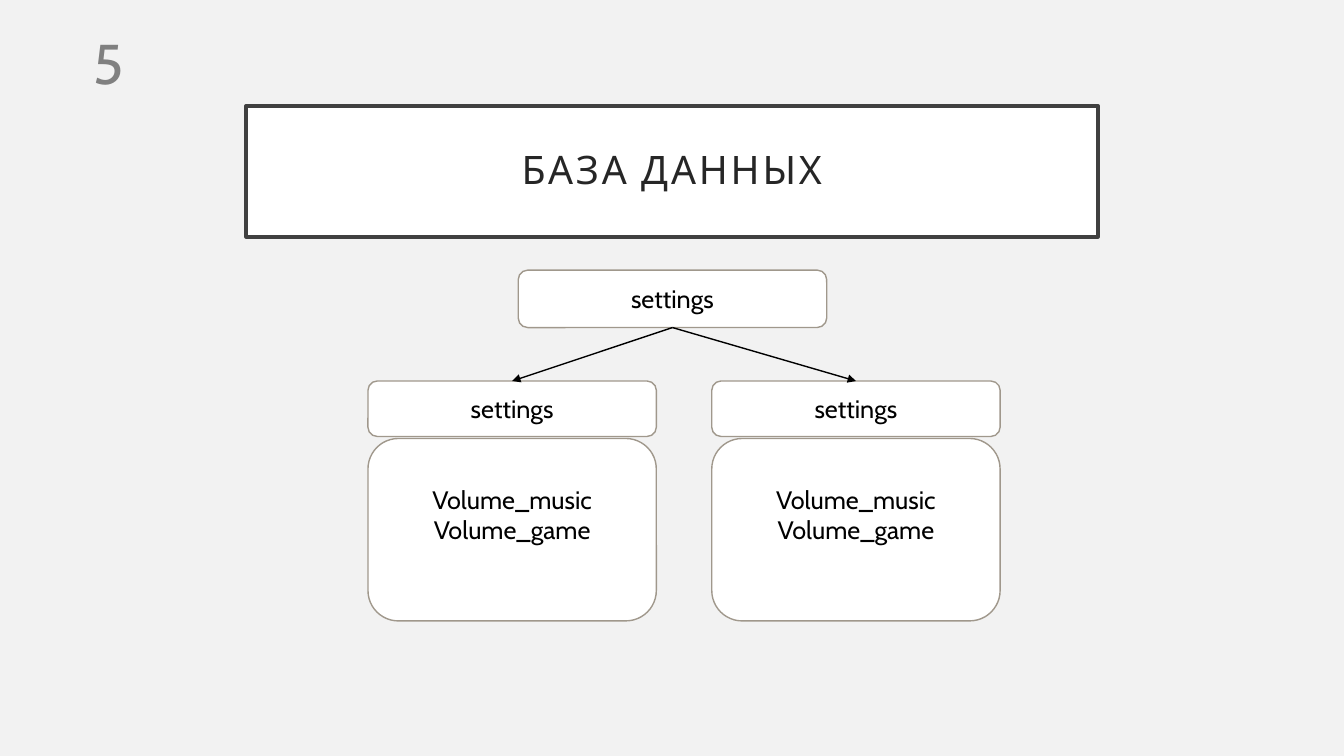
import pptx
import pptx.util
import pptx.dml.color
import pptx.enum.shapes
import pptx.enum.text
import pptx.oxml.ns
from lxml import etree

Inches, Pt = pptx.util.Inches, pptx.util.Pt
RGBColor = pptx.dml.color.RGBColor
qn = pptx.oxml.ns.qn

BACKGROUND = RGBColor(0xF2, 0xF2, 0xF2)
WHITE = RGBColor(0xFF, 0xFF, 0xFF)
BLACK = RGBColor(0, 0, 0)
FRAME = RGBColor(0x40, 0x40, 0x40)
TITLE_TEXT = RGBColor(0x26, 0x26, 0x26)
NUMBER_TEXT = RGBColor(0x80, 0x80, 0x80)
BOX_LINE = RGBColor(0xA0, 0x98, 0x8C)


class Deck:
    font = "Cabin"

    def __init__(self):
        self.prs = pptx.Presentation()
        self.prs.slide_width, self.prs.slide_height = Inches(13.33), Inches(7.5)
        self.s = None

    def add_slide(self):
        self.s = self.prs.slides.add_slide(self.prs.slide_layouts[5])
        fill = self.s.background.fill
        fill.solid()
        fill.fore_color.rgb = BACKGROUND

    def outline(self, sp, color, width):
        sp.fill.solid()
        sp.fill.fore_color.rgb = WHITE
        sp.line.color.rgb = color
        sp.line.width = Pt(width)

    def add_lines(self, tf, lines, size, color, align):
        """Add one paragraph per line and return the runs."""
        tf.word_wrap = True
        runs = []
        for i, line in enumerate(lines):
            p = tf.add_paragraph() if i else tf.paragraphs[0]
            p.alignment = align
            r = p.add_run()
            r.text = line
            r.font.name, r.font.size = self.font, Pt(size)
            r.font.color.rgb = color
            runs.append(r)
        return runs

    def title(self, text, x, y, w, h):
        sp = self.s.shapes.title
        sp.left, sp.top, sp.width, sp.height = map(Inches, (x, y, w, h))
        self.outline(sp, FRAME, 2.5)
        tf = sp.text_frame
        tf.margin_left = tf.margin_right = tf.margin_top = tf.margin_bottom = Inches(0.2)
        tf.vertical_anchor = pptx.enum.text.MSO_ANCHOR.MIDDLE
        runs = self.add_lines(tf, [text], 28, TITLE_TEXT, pptx.enum.text.PP_ALIGN.CENTER)
        tf.paragraphs[0].line_spacing = 0.9
        runs[0]._r.get_or_add_rPr().set("spc", "200")

    def number(self, text, x, y, w, h):
        sp = self.s.shapes.add_textbox(*map(Inches, (x, y, w, h)))
        self.add_lines(sp.text_frame, [text], 40, NUMBER_TEXT, pptx.enum.text.PP_ALIGN.LEFT)

    def box(self, lines, x, y, w, h, bottom=0.05):
        sp = self.s.shapes.add_shape(
            pptx.enum.shapes.MSO_SHAPE.ROUNDED_RECTANGLE, *map(Inches, (x, y, w, h)))
        sp.shadow.inherit = False
        self.outline(sp, BOX_LINE, 1)
        tf = sp.text_frame
        tf.vertical_anchor = pptx.enum.text.MSO_ANCHOR.MIDDLE
        tf.margin_bottom = Inches(bottom)
        self.add_lines(tf, lines, 18, BLACK, pptx.enum.text.PP_ALIGN.CENTER)
        return sp

    def arrow(self, start, end):
        """Join the bottom of one box to the top of another."""
        c = self.s.shapes.add_connector(
            pptx.enum.shapes.MSO_CONNECTOR.STRAIGHT, 0, 0, 0, 0)
        c.begin_connect(start, 2)
        c.end_connect(end, 0)
        c.line.color.rgb = BLACK
        c.line.width = Pt(1)
        spPr = c._element.spPr
        etree.SubElement(spPr.find(qn("a:ln")), qn("a:tailEnd"), type="triangle")
        etree.SubElement(spPr, qn("a:effectLst"))


def main():
    deck = Deck()
    deck.add_slide()
    deck.title("БАЗА ДАННЫХ", 2.44, 1.05, 8.45, 1.3)
    deck.number("5", 0.83, 0.23, 0.77, 0.77)
    root = deck.box(["settings"], 5.14, 2.68, 3.06, 0.57)
    for x in (3.65, 7.06):
        table = deck.box(["settings"], x, 3.78, 2.86, 0.55)
        deck.box(["Volume_music", "Volume_game"], x, 4.35, 2.86, 1.81, bottom=0.35)
        deck.arrow(root, table)
    deck.prs.save("out.pptx")


if __name__ == "__main__":
    main()
